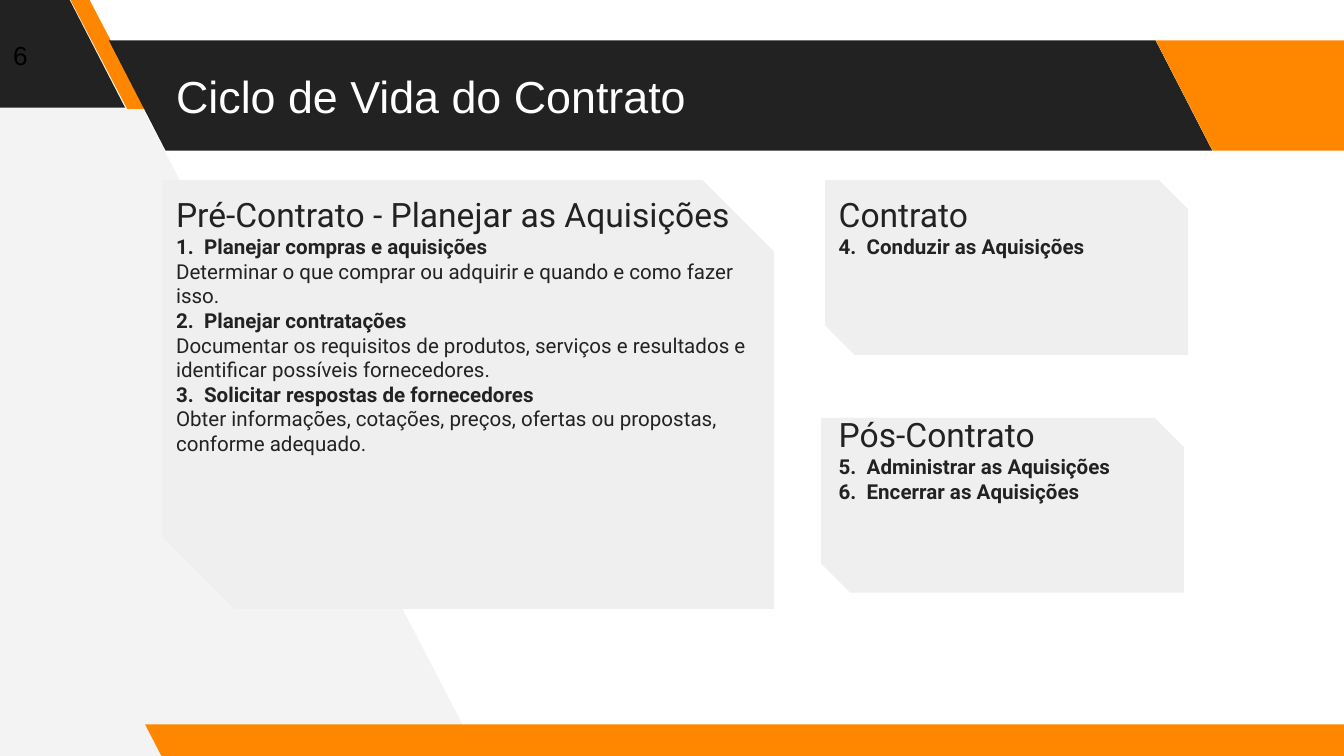
"""Build the contract life cycle slide."""
from dataclasses import dataclass

from pptx import Presentation
from pptx.dml.color import RGBColor as Rgb
from pptx.enum.shapes import MSO_SHAPE as Preset
from pptx.enum.text import MSO_ANCHOR as Anchor, MSO_AUTO_SIZE as AutoSize, PP_ALIGN as Align
from pptx.oxml.ns import qn
from pptx.oxml.xmlchemy import OxmlElement
from pptx.util import Inches, Pt


@dataclass(frozen=True)
class Theme:
    dark: str = "222222"
    accent: str = "FF8700"
    wedge: str = "F3F3F3"
    panel: str = "EFEFEF"
    light: str = "FFFFFF"
    black: str = "000000"
    title_font: str = "Arial"
    body_font: str = "Roboto"
    title_size: int = 24
    heading_size: int = 18
    page_size: int = 14
    item_size: int = 11


@dataclass(frozen=True)
class Box:
    left: float
    top: float
    width: float
    height: float

    def emu(self) -> tuple:
        return tuple(Inches(v) for v in (self.left, self.top, self.width, self.height))


@dataclass(frozen=True)
class Band:
    box: Box
    color: str
    slant: float = 0.515


@dataclass(frozen=True)
class Phase:
    slot: int
    panel: Box
    area: Box
    heading: str
    steps: tuple


THEME = Theme()
BANDS = (
    Band(Box(-0.99, -0.02, 1.92, 0.82), THEME.dark),
    Band(Box(0.52, -0.01, 0.57, 0.82), THEME.accent, 0.75),
    Band(Box(0.81, 0.3, 8.21, 0.82), THEME.dark),
    Band(Box(8.6, 0.3, 1.92, 0.82), THEME.accent),
    Band(Box(1.08, 5.39, 9.15, 0.25), THEME.accent),
)
WEDGE = ((3.56, 5.62), (0.62, -0.04), (-0.06, -0.04), (-0.02, 5.66))
PHASES = (
    Phase(1, Box(1.21, 1.34, 4.55, 3.19), Box(1.21, 1.34, 4.55, 2.88),
          "Pré-Contrato - Planejar as Aquisições", (
              ("1.  Planejar compras e aquisições",
               "Determinar o que comprar ou adquirir e quando e como fazer isso."),
              ("2.  Planejar contratações",
               "Documentar os requisitos de produtos, serviços e resultados e "
               "identificar possíveis fornecedores."),
              ("3.  Solicitar respostas de fornecedores",
               "Obter informações, cotações, preços, ofertas ou propostas, conforme adequado."))),
    Phase(2, Box(6.14, 1.34, 2.7, 1.3), Box(6.14, 1.34, 2.65, 1.3),
          "Contrato", (("4.  Conduzir as Aquisições",),)),
    Phase(3, Box(6.11, 3.11, 2.7, 1.3), Box(6.14, 2.98, 2.65, 1.55),
          "Pós-Contrato", (("5.  Administrar as Aquisições",),
                           ("6.  Encerrar as Aquisições",))),
)


def paint(shape, color: str) -> None:
    """Give a shape a flat fill with no line or shadow."""
    shape.shadow.inherit = False
    shape.fill.solid()
    shape.fill.fore_color.rgb = Rgb.from_string(color)
    shape.line.fill.background()


def draw_wedge(slide) -> None:
    """Draw the pale slanted area on the left."""
    start, *corners = [(Inches(x), Inches(y)) for x, y in WEDGE]
    builder = slide.shapes.build_freeform(*start)
    builder.add_line_segments(corners, close=True)
    paint(builder.convert_to_shape(), THEME.wedge)


def draw_band(slide, band: Band) -> None:
    """Draw a mirrored parallelogram."""
    shape = slide.shapes.add_shape(Preset.PARALLELOGRAM, *band.box.emu())
    shape.adjustments[0] = band.slant
    shape._element.spPr.find(qn("a:xfrm")).set("flipH", "1")
    paint(shape, band.color)


def prepare(holder, box: Box, anchor=Anchor.TOP):
    """Place a text holder in front and return its set-up frame."""
    holder.left, holder.top, holder.width, holder.height = box.emu()
    tree = holder._element.getparent()
    tree.append(holder._element)
    frame = holder.text_frame
    frame.word_wrap = True
    frame.auto_size = AutoSize.NONE
    frame.vertical_anchor = anchor
    frame.margin_left = frame.margin_right = Inches(0.1)
    frame.margin_top = frame.margin_bottom = Inches(0.1)
    return frame


def write(frame, text: str, *, size: int, color: str = THEME.dark,
          font: str = THEME.body_font, bold: bool = False) -> None:
    """Add one unbulleted, left-aligned paragraph."""
    paragraph = frame.paragraphs[-1]
    if paragraph.runs:
        paragraph = frame.add_paragraph()
    paragraph.alignment = Align.LEFT
    paragraph.line_spacing = 1.0
    paragraph.space_before = paragraph.space_after = Pt(0)
    properties = paragraph._p.get_or_add_pPr()
    properties.set("marL", "0")
    properties.set("indent", "0")
    properties.append(OxmlElement("a:buNone"))
    run = paragraph.add_run()
    run.text = text
    run.font.name = font
    run.font.size = Pt(size)
    run.font.bold = bold
    run.font.color.rgb = Rgb.from_string(color)


def draw_phase(slide, phase: Phase, holder) -> None:
    """Draw a snipped panel with its heading and steps."""
    panel = slide.shapes.add_shape(Preset.SNIP_2_DIAG_RECTANGLE, *phase.panel.emu())
    panel.adjustments[0], panel.adjustments[1] = 0, 0.167
    paint(panel, THEME.panel)
    frame = prepare(holder, phase.area)
    write(frame, phase.heading, size=THEME.heading_size)
    for name, *details in phase.steps:
        write(frame, name, size=THEME.item_size, bold=True)
        for detail in details:
            write(frame, detail, size=THEME.item_size)


def main() -> None:
    """Assemble and save the slide."""
    deck = Presentation()
    deck.slide_width = Inches(10)
    deck.slide_height = deck.slide_width * 9 // 16
    slide = deck.slides.add_slide(deck.slide_layouts.get_by_name("Comparison"))
    holders = {h.placeholder_format.idx: h for h in slide.placeholders}
    spare = holders[4]._element
    spare.getparent().remove(spare)

    draw_wedge(slide)
    for band in BANDS:
        draw_band(slide, band)

    title = prepare(slide.shapes.title, Box(1.21, 0.3, 7.35, 0.82), Anchor.MIDDLE)
    write(title, "Ciclo de Vida do Contrato", size=THEME.title_size,
          color=THEME.light, font=THEME.title_font)
    page_box = Box(0, 0.16, 0.6, 0.5)
    page = prepare(slide.shapes.add_textbox(*page_box.emu()), page_box, Anchor.MIDDLE)
    write(page, "6", size=THEME.page_size, color=THEME.black, font=THEME.title_font)

    for phase in PHASES:
        draw_phase(slide, phase, holders[phase.slot])
    deck.save("out.pptx")


if __name__ == "__main__":
    main()
